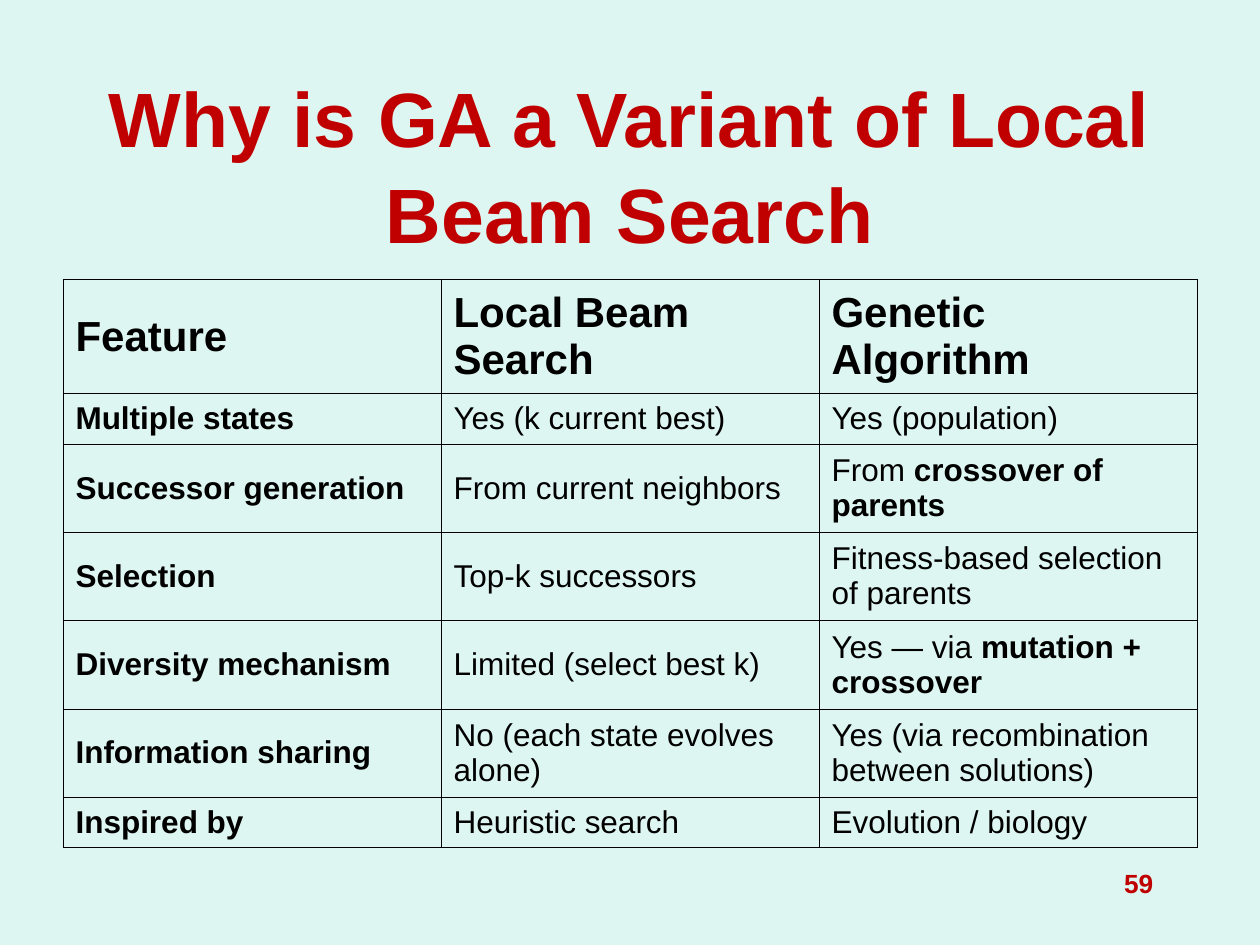
from dataclasses import dataclass

from lxml import etree
from pptx import Presentation
from pptx.dml.color import RGBColor
from pptx.enum.text import MSO_ANCHOR, PP_ALIGN
from pptx.oxml.ns import qn
from pptx.util import Cm, Pt

MIDDLE, TOP = MSO_ANCHOR.MIDDLE, MSO_ANCHOR.TOP
CENTER, RIGHT = PP_ALIGN.CENTER, PP_ALIGN.RIGHT


@dataclass(frozen=True)
class Theme:
    font: str = "Arial"
    background: str = "DEF6F1"
    accent: str = "C00000"
    ink: str = "000000"
    title_size: float = 44
    header_size: float = 24
    body_size: float = 18
    number_size: float = 15
    border: float = 0.45


THEME = Theme()

# Each cell is a list of runs: (text, bold)
HEADER = ["Feature", "Local Beam Search", "Genetic Algorithm"]
ROWS = [
    ("Multiple states", "Yes (k current best)", [("Yes (population)", False)]),
    ("Successor generation", "From current neighbors",
     [("From ", False), ("crossover of parents", True)]),
    ("Selection", "Top-k successors",
     [("Fitness-based selection of parents", False)]),
    ("Diversity mechanism", "Limited (select best k)",
     [("Yes — via ", False), ("mutation + crossover", True)]),
    ("Information sharing", "No (each state evolves alone)",
     [("Yes (via recombination between solutions)", False)]),
    ("Inspired by", "Heuristic search", [("Evolution / biology", False)]),
]
HEADER_HEIGHT, SINGLE_LINE, DOUBLE_LINE = 2.29, 1.02, 1.78
ROW_HEIGHTS = [HEADER_HEIGHT, SINGLE_LINE] + [DOUBLE_LINE] * 4 + [SINGLE_LINE]


def add_run(p, text, size, color, bold):
    r = p.add_run()
    r.text = text
    r.font.name = THEME.font
    r.font.size = Pt(size)
    r.font.bold = bold
    r.font.color.rgb = RGBColor.from_string(color)


def add_text(slide, box, text, size, align, anchor, spacing=1.0):
    tf = slide.shapes.add_textbox(*(Cm(v) for v in box)).text_frame
    tf.word_wrap = True
    tf.vertical_anchor = anchor
    p = tf.paragraphs[0]
    p.alignment = align
    p.line_spacing = spacing
    add_run(p, text, size, THEME.accent, True)


def set_borders(cell):
    tc_pr = cell._tc.get_or_add_tcPr()
    for i, side in enumerate(("a:lnL", "a:lnR", "a:lnT", "a:lnB")):
        ln = etree.Element(qn(side), w=str(Pt(THEME.border)))
        fill = etree.SubElement(ln, qn("a:solidFill"))
        etree.SubElement(fill, qn("a:srgbClr"), val=THEME.ink)
        tc_pr.insert(i, ln)


def fill_cell(cell, runs, size):
    cell.fill.background()
    cell.vertical_anchor = MIDDLE
    set_borders(cell)
    for text, bold in runs:
        add_run(cell.text_frame.paragraphs[0], text, size, THEME.ink, bold)


def add_comparison(slide, left, top, width):
    rows = [[[(name, True)] for name in HEADER]]
    rows += [[[(feature, True)], [(beam, False)], genetic]
             for feature, beam, genetic in ROWS]
    table = slide.shapes.add_table(
        len(rows), len(HEADER), Cm(left), Cm(top), Cm(width),
        Cm(sum(ROW_HEIGHTS))).table
    table.first_row = table.horz_banding = False
    for column in table.columns:
        column.width = Cm(width / len(HEADER))
    for i, (cells, height) in enumerate(zip(rows, ROW_HEIGHTS)):
        table.rows[i].height = Cm(height)
        size = THEME.body_size if i else THEME.header_size
        for j, runs in enumerate(cells):
            fill_cell(table.cell(i, j), runs, size)


def main():
    prs = Presentation()
    prs.slide_width, prs.slide_height = Cm(25.4), Cm(19.05)
    slide = prs.slides.add_slide(prs.slide_layouts[6])
    bg = slide.background.fill
    bg.solid()
    bg.fore_color.rgb = RGBColor.from_string(THEME.background)

    # Title
    add_text(slide, (1.9, 1.7, 21.6, 3.18),
             "Why is GA a Variant of Local Beam Search",
             THEME.title_size, CENTER, MIDDLE, spacing=1.04)
    # Comparison table
    add_comparison(slide, 1.27, 5.64, 22.86)
    # Page number
    add_text(slide, (18.21, 17.35, 5.29, 1.27), "59",
             THEME.number_size, RIGHT, TOP)

    prs.save("out.pptx")


if __name__ == "__main__":
    main()
